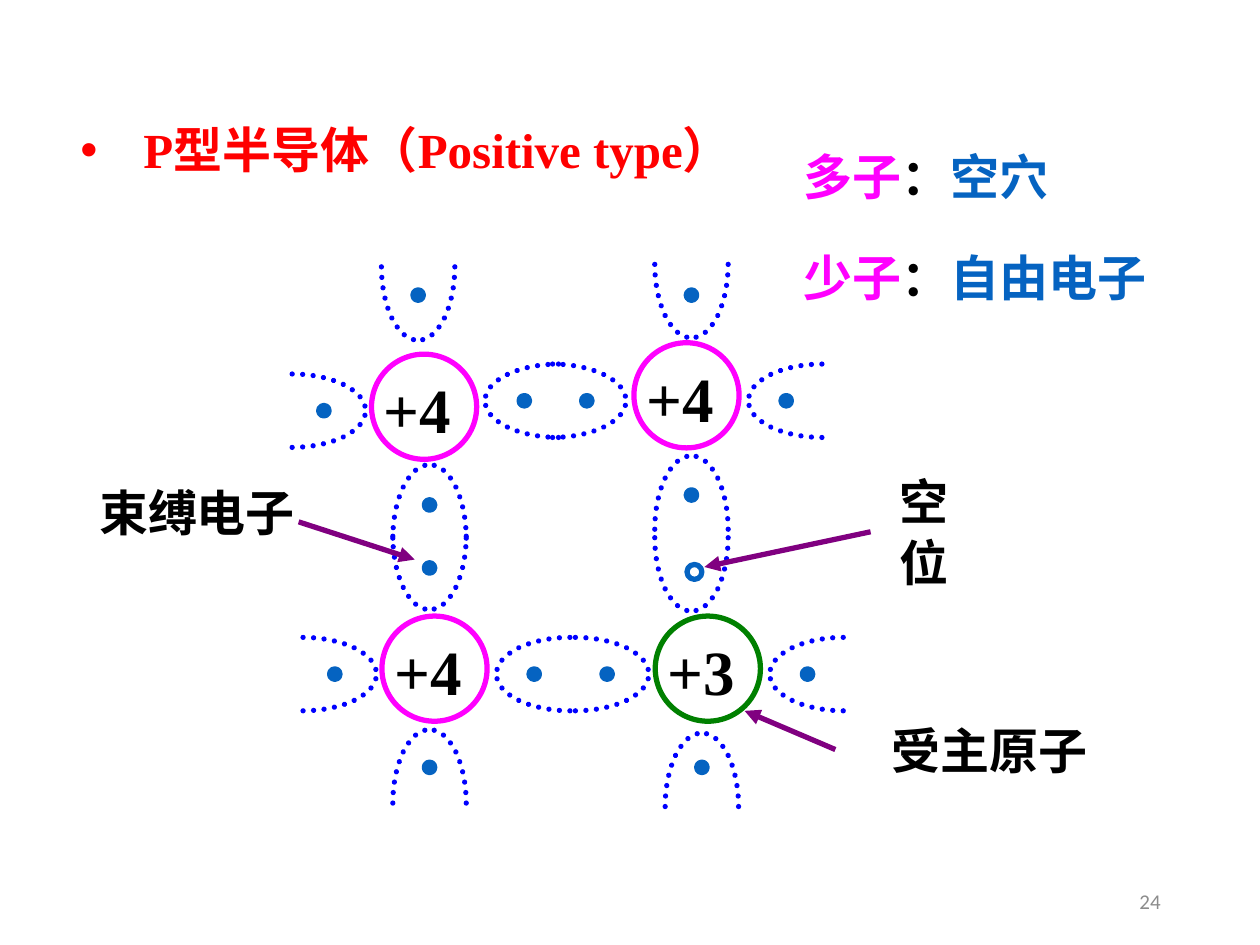
from math import cos, pi, sin

from lxml.etree import SubElement
from pptx import Presentation
from pptx.dml.color import RGBColor
from pptx.enum.dml import MSO_LINE as Dash
from pptx.enum.shapes import MSO_CONNECTOR as Link, MSO_SHAPE as Kind
from pptx.enum.text import MSO_ANCHOR as Anchor, MSO_AUTO_SIZE as Auto, PP_ALIGN as Align
from pptx.oxml.ns import qn
from pptx.util import Cm, Pt

BLACK, RED, PINK, GREEN = "000000", "FF0000", "FF00FF", "008000"
BLUE, DOTS, PURPLE, GREY = "0563C1", "0000FF", "800080", "8C8C8C"
UP, DOWN, LEFT, RIGHT = (0, -1), (0, 1), (-1, 0), (1, 0)


def rgb(code):
    return RGBColor.from_string(code)


class Pen:
    face = "Times New Roman"
    size = 28
    width = Pt(3)
    atom = 2.12
    reach, half = 1.48, 0.74
    steps = 12

    def __init__(self, slide):
        self.shapes = slide.shapes

    def stroke(self, shape, color):
        shape.line.color.rgb = rgb(color)
        shape.line.width = self.width

    def text(self, at, paras, size=None, face=None, bold=True, wrap=True, auto=True):
        """Add a text box; each paragraph is a list of (text, color) runs."""
        box = self.shapes.add_textbox(*map(Cm, at))
        frame = box.text_frame
        frame.word_wrap = wrap
        frame.auto_size = Auto.SHAPE_TO_FIT_TEXT if auto else Auto.NONE
        for i, runs in enumerate(paras):
            para = frame.add_paragraph() if i else frame.paragraphs[0]
            if i:
                para.line_spacing = 1.3
                para.space_before = Pt(14)
            for words, color in runs:
                run = para.add_run()
                run.text = words
                font = run.font
                font.name = face or self.face
                font.size = Pt(size or self.size)
                font.bold = bold
                font.color.rgb = rgb(color)
        return box

    def bullet(self, box, indent):
        for para in box.text_frame.paragraphs:
            props = para._p.get_or_add_pPr()
            props.set("marL", str(Cm(indent)))
            props.set("indent", str(-Cm(indent)))
            SubElement(props, qn("a:buFont"), typeface="Arial")
            SubElement(props, qn("a:buChar"), char="•")

    def ring(self, x, y, size, color, fill=None):
        """Add a circle centred at x, y."""
        side = Cm(size)
        ring = self.shapes.add_shape(
            Kind.OVAL, Cm(x - size / 2), Cm(y - size / 2), side, side)
        ring.shadow.inherit = False
        if fill:
            ring.fill.solid()
            ring.fill.fore_color.rgb = rgb(fill)
        else:
            ring.fill.background()
        self.stroke(ring, color)

    def ion(self, x, y, charge, color):
        self.ring(x + self.atom / 2, y + self.atom / 2, self.atom, color)
        self.text((x, y + 0.21, 2.54, 1.78), [[(charge, BLACK)]], size=36)

    def bond(self, x, y, way):
        """Add a dotted half ellipse with its tip at x, y, open towards way."""
        dx, dy = way
        for side in (self.half, -self.half):
            points = []
            for i in range(self.steps + 1):
                turn = pi / 2 * i / self.steps
                along, off = self.reach * (1 - sin(turn)), side * cos(turn)
                points.append((Cm(x + dx * along + dy * off),
                               Cm(y + dy * along + dx * off)))
            path = self.shapes.build_freeform(*points[0])
            path.add_line_segments(points[1:], close=False)
            arc = path.convert_to_shape()
            arc.shadow.inherit = False
            arc.fill.background()
            self.stroke(arc, DOTS)
            arc.line.dash_style = Dash.ROUND_DOT
            arc.element.spPr.find(qn("a:ln")).set("cap", "rnd")

    def arrow(self, *ends):
        line = self.shapes.add_connector(Link.STRAIGHT, *map(Cm, ends))
        self.stroke(line, PURPLE)
        props = line.element.spPr
        SubElement(props.find(qn("a:ln")), qn("a:tailEnd"), type="triangle")
        SubElement(props, qn("a:effectLst"))


def main():
    deck = Presentation()
    deck.slide_width, deck.slide_height = Cm(25.4), Cm(19.05)
    pen = Pen(deck.slides.add_slide(deck.slide_layouts[6]))

    title = pen.text((1.37, 2.29, 14.15, 1.45), [[("P型半导体（Positive type）", RED)]])
    pen.bullet(title, 1.27)
    pen.text((15.95, 2.82, 8.33, 3.58), [
        [(name, PINK), ("：", BLACK), (kind, BLUE)]
        for name, kind in (("多子", "空穴"), ("少子", "自由电子"))])

    for x, y, charge, color in (
            (7.49, 7.14, "+4", PINK), (12.78, 6.91, "+4", PINK),
            (7.7, 12.42, "+4", PINK), (13.21, 12.42, "+3", GREEN)):
        pen.ion(x, y, charge, color)

    # Tip of each bond, its open side, and how far its electron sits from the tip
    bonds = (
        (8.43, 6.86, UP, 0.91), (13.94, 6.81, UP, 0.86), (8.66, 12.29, UP, 0.84),
        (8.66, 9.37, DOWN, 0.81), (13.94, 9.19, DOWN, 0.79),
        (14.15, 14.78, DOWN, 0.69), (8.66, 14.71, DOWN, 0.76),
        (7.37, 8.28, LEFT, 0.84), (7.59, 13.59, LEFT, 0.84),
        (12.62, 8.08, LEFT, 0.79), (13.08, 13.59, LEFT, 0.84),
        (9.78, 8.08, RIGHT, 0.79), (15.09, 8.08, RIGHT, 0.76),
        (10.01, 13.59, RIGHT, 0.76), (15.52, 13.59, RIGHT, 0.76))
    for x, y, way, gap in bonds:
        pen.bond(x, y, way)
        pen.ring(x + way[0] * gap, y + way[1] * gap, 0.21, BLUE, BLUE)
    pen.bond(13.94, 12.32, UP)
    pen.ring(14, 11.53, 0.3, BLUE)

    pen.text((1.75, 9.6, 4.55, 1.45), [[("束缚电子", BLACK)]])
    hole = pen.text((17.6, 9.37, 1.7, 2.74), [[("空 位", BLACK)]])
    hole.element.txBody.bodyPr.set("vert", "eaVert")
    pen.text((17.73, 14.4, 4.47, 1.45), [[("受主原子", BLACK)]], wrap=False)
    pen.arrow(6.02, 10.52, 8.36, 11.28)
    pen.arrow(17.55, 10.72, 14.2, 11.43)
    pen.arrow(16.84, 15.11, 15.01, 14.33)

    page = pen.text((17.93, 17.65, 5.72, 1.02), [[("24", GREY)]],
                    size=12, face="Calibri", bold=False, auto=False)
    page.text_frame.vertical_anchor = Anchor.MIDDLE
    page.text_frame.paragraphs[0].alignment = Align.RIGHT
    deck.save("out.pptx")


if __name__ == "__main__":
    main()
